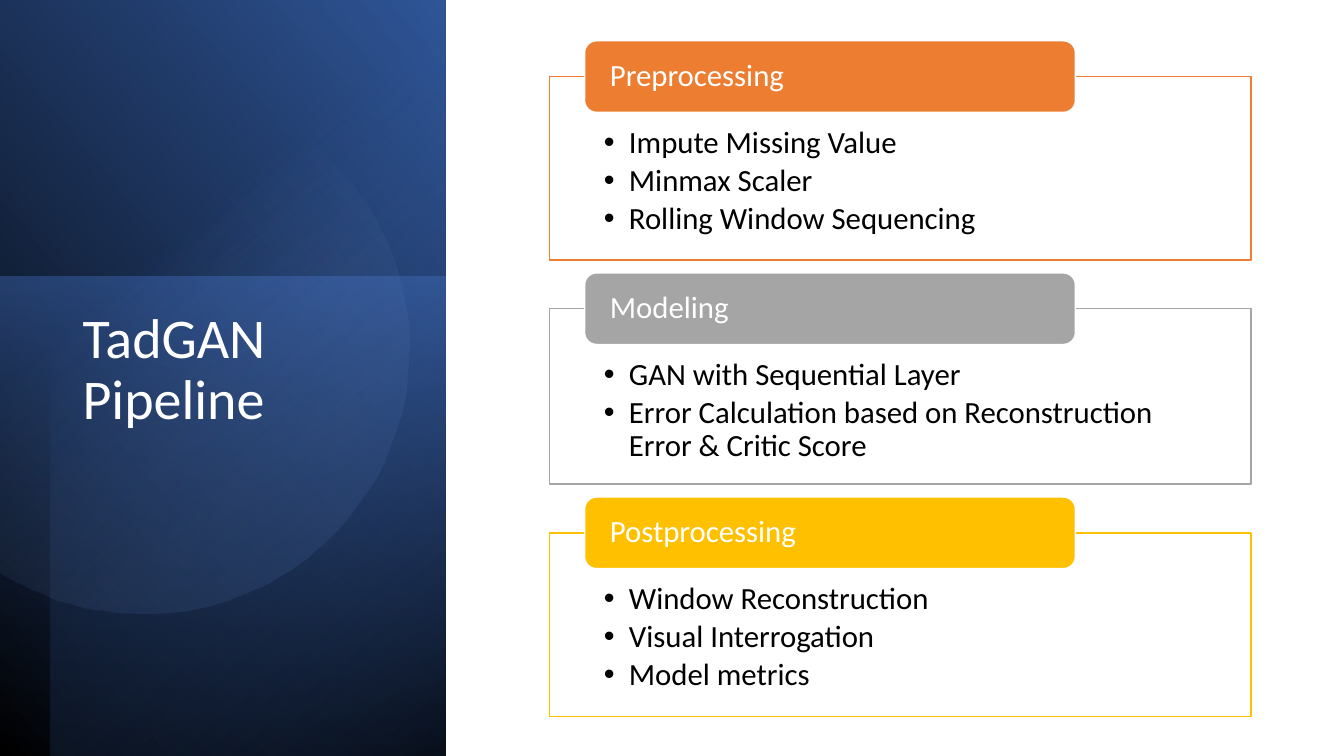
"""Build the TadGAN pipeline slide."""
from math import acos, cos, pi, sin

from lxml import etree
from pptx import Presentation
from pptx.dml.color import RGBColor
from pptx.enum.shapes import MSO_SHAPE
from pptx.enum.text import MSO_ANCHOR, MSO_AUTO_SIZE, PP_ALIGN
from pptx.oxml.ns import qn
from pptx.util import Pt

RECT, ROUND = MSO_SHAPE.RECTANGLE, MSO_SHAPE.ROUNDED_RECTANGLE
TOP, MIDDLE = MSO_ANCHOR.TOP, MSO_ANCHOR.MIDDLE
LEFT, FIXED = PP_ALIGN.LEFT, MSO_AUTO_SIZE.NONE

HUES = {
    "black": "000000", "white": "FFFFFF", "blue": "4472C4", "navy": "203864",
    "deep": "2F5597", "pale": "8FAADC", "orange": "ED7D31", "gray": "A5A5A5",
    "gold": "FFC000",
}
TITLE = "TadGAN Pipeline"
STEPS = [
    ("Preprocessing", "orange", 131,
     ["Impute Missing Value", "Minmax Scaler", "Rolling Window Sequencing"]),
    ("Modeling", "gray", 125.3,
     ["GAN with Sequential Layer",
      "Error Calculation based on Reconstruction Error & Critic Score"]),
    ("Postprocessing", "gold", 131,
     ["Window Reconstruction", "Visual Interrogation", "Model metrics"]),
]
WASHES = [
    ((-111.6, 111.6, 541.4, 318.2), 90, True, 50,
     [(0, "black", 100), (100, "deep", 100)]),
    ((-12.2, 209.5, 342.7, 318.2), 270, False, 170,
     [(0, "blue", 50), (100, "navy", 0)]),
    ((-92.9, 128.9, 540, 282.2), 270, True, 140,
     [(0, "black", 59), (69, "blue", 0)]),
]
DISC = (-59, 94.3, 378.7, 321.8)
GLOW = [(39, "pale", 0), (100, "deep", 26)]
PANEL_X, PANEL_W, PANEL_Y, GAP = 392.4, 501.1, 54.7, 34.8
TAB_X, TAB_W, TAB_H = 417.6, 350.6, 51.1


def color(name):
    return RGBColor.from_string(HUES[name])


def write(shape, lines, size=22, hue="black", anchor=TOP, after=0,
          inset=(7.2, 3.6, 7.2, 3.6), bullet=False):
    frame = shape.text_frame
    frame.word_wrap, frame.auto_size = True, FIXED
    frame.vertical_anchor = anchor
    (frame.margin_left, frame.margin_top,
     frame.margin_right, frame.margin_bottom) = map(Pt, inset)
    for i, line in enumerate(lines):
        para = frame.add_paragraph() if i else frame.paragraphs[0]
        para.alignment, para.line_spacing = LEFT, 0.9
        para.space_before, para.space_after = Pt(0), Pt(after)
        run = para.add_run()
        run.text = line
        run.font.size, run.font.name = Pt(size), "Calibri"
        run.font.color.rgb = color(hue)
        if bullet:
            props = para._p.get_or_add_pPr()
            props.set("marL", str(Pt(18)))
            props.set("indent", str(Pt(-18)))
            etree.SubElement(props, qn("a:buFont")).set("typeface", "Arial")
            etree.SubElement(props, qn("a:buChar")).set("char", "•")


def box(slide, kind, area, fill, line):
    shape = slide.shapes.add_shape(kind, *map(Pt, area))
    shape.shadow.inherit = False
    shape.fill.solid()
    shape.fill.fore_color.rgb = color(fill)
    shape.line.color.rgb = color(line)
    shape.line.width = Pt(1)
    return shape


def shade(shape, angle, turn, stops):
    shape.shadow.inherit = False
    shape.line.fill.background()
    shape.rotation = turn
    shape.fill.gradient()
    shape.fill.gradient_angle = angle
    for stop, (place, hue, _) in zip(shape.fill.gradient_stops, stops):
        stop.position = place / 100
        stop.color.rgb = color(hue)
    tints = list(shape.element.spPr.iter(qn("a:srgbClr")))
    for tint, (_, _, alpha) in zip(tints, stops):
        etree.SubElement(tint, qn("a:alpha")).set("val", str(alpha * 1000))


def disc(slide):
    x, y, wide, high = DISC
    r = wide / 2
    half = acos((high - r) / r)
    count = 120
    turns = [pi / 2 + half + (2 * pi - 2 * half) * i / count
             for i in range(count + 1)]
    dots = [(x + r + r * cos(t), y + r + r * sin(t)) for t in turns]
    pen = slide.shapes.build_freeform(*dots[0], scale=Pt(1))
    pen.add_line_segments(dots[1:], close=True)
    return pen.convert_to_shape()


def main():
    deck = Presentation()
    deck.slide_width, deck.slide_height = Pt(960), Pt(540)
    slide = deck.slides.add_slide(deck.slide_layouts[5])

    for area, turn, flip, angle, stops in WASHES:
        wash = slide.shapes.add_shape(RECT, *map(Pt, area))
        shade(wash, angle, turn, stops)
        if flip:
            wash.element.spPr.find(qn("a:xfrm")).set("flipH", "1")
    shade(disc(slide), 50, 101.6, GLOW)

    title = slide.shapes.title
    title.left, title.top = Pt(51.8), Pt(218.2)
    title.width, title.height = Pt(226.8), Pt(241.9)
    write(title, [TITLE], size=40, hue="white")
    title.element.getparent().append(title.element)

    y = PANEL_Y
    for name, hue, high, items in STEPS:
        panel = box(slide, RECT, (PANEL_X, y, PANEL_W, high), "white", hue)
        write(panel, items, after=3.3, inset=(38.9, 36, 38.9, 12), bullet=True)
        tab = box(slide, ROUND, (TAB_X, y - TAB_H / 2, TAB_W, TAB_H),
                  hue, "white")
        write(tab, [name], hue="white", anchor=MIDDLE, inset=(15.6, 0, 15.6, 0))
        y += high + GAP

    deck.save("out.pptx")


if __name__ == "__main__":
    main()
